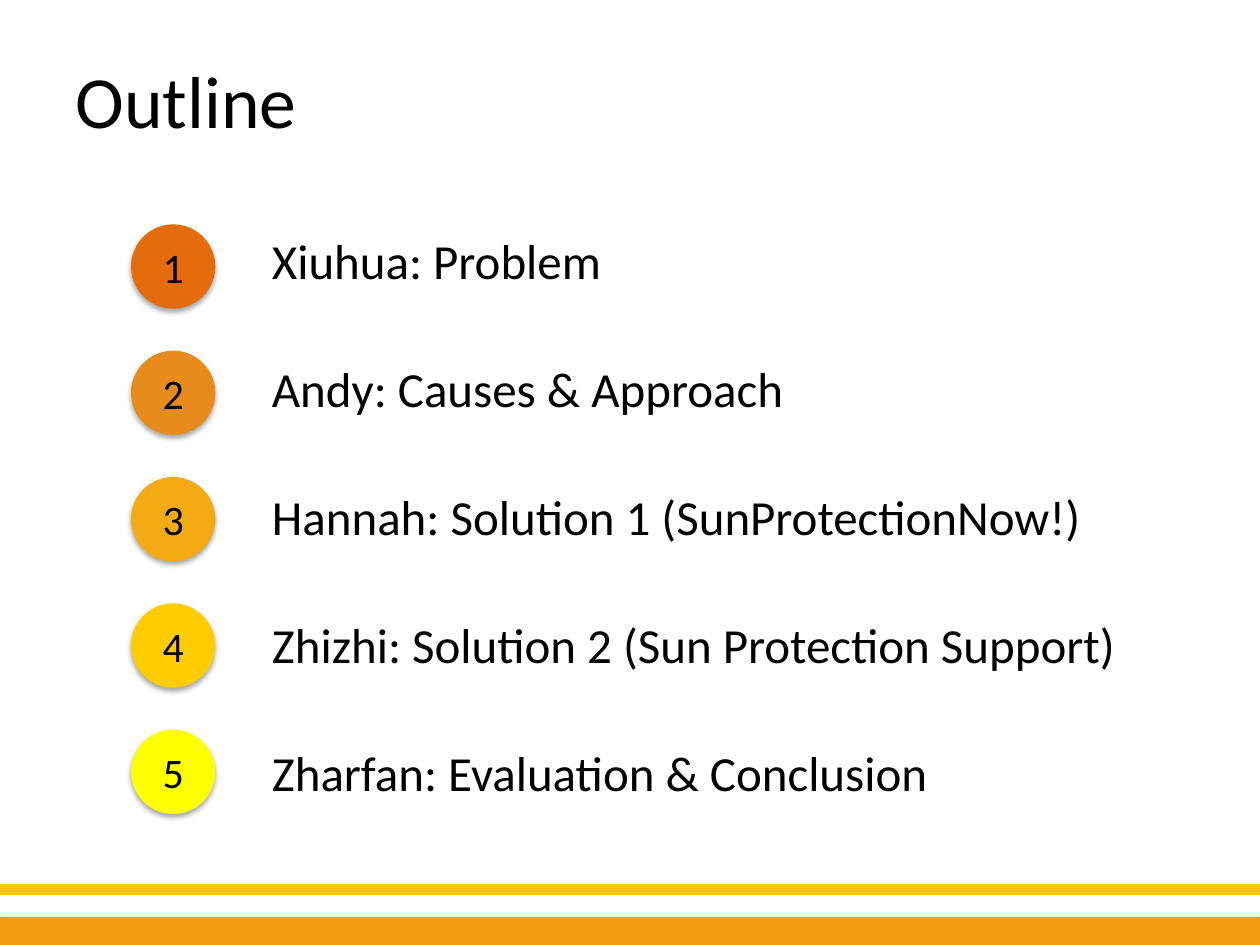
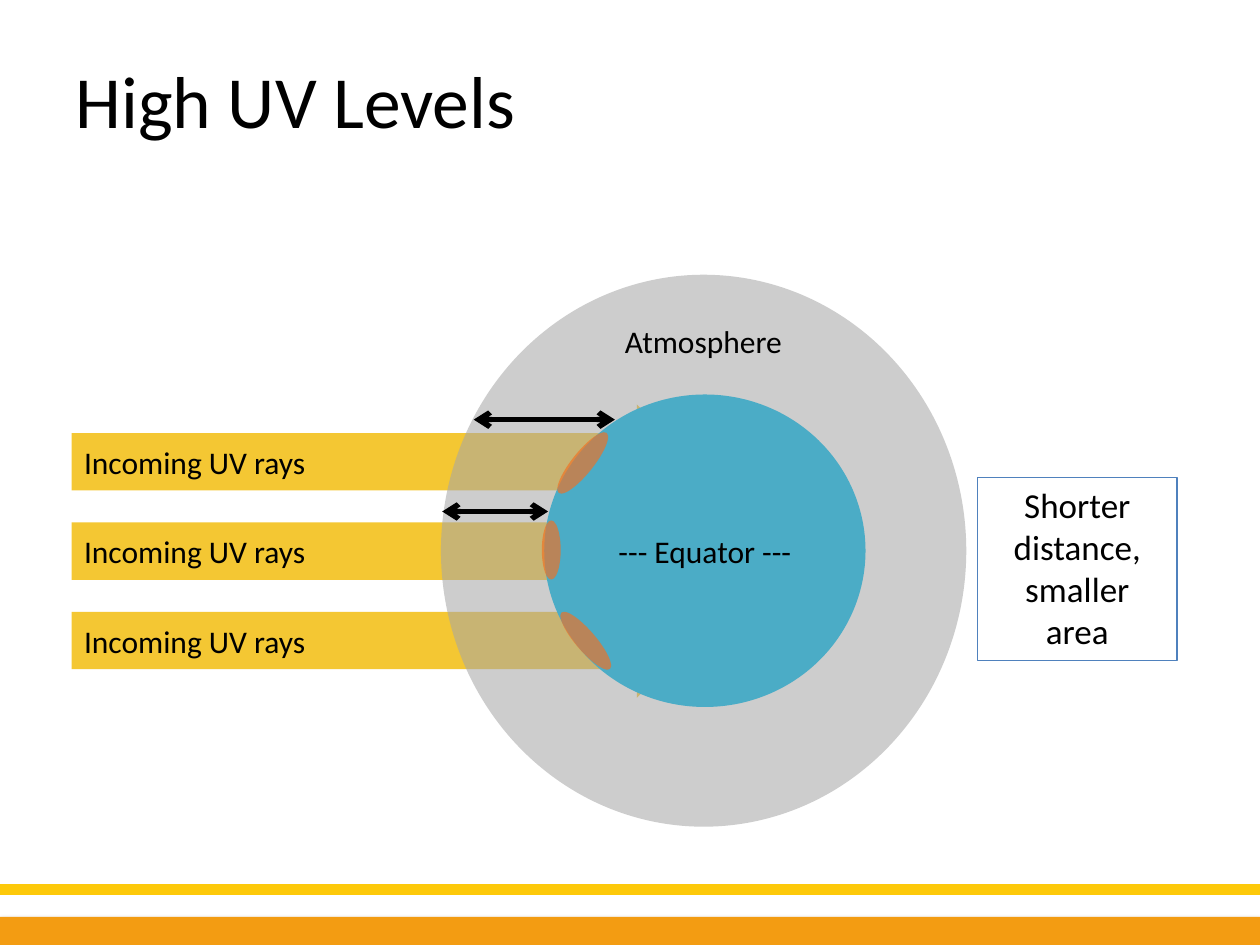
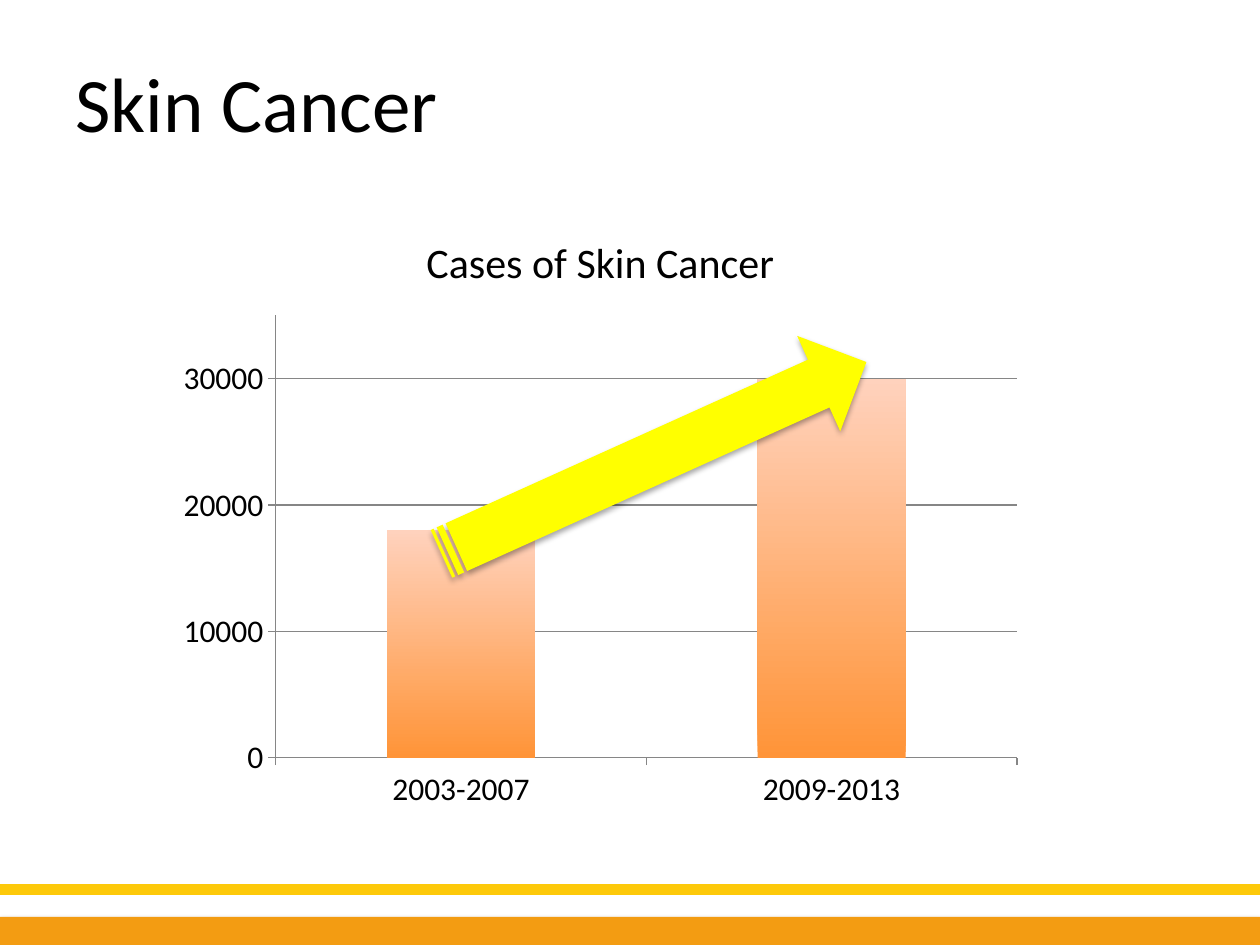
"""Build three slides on skin cancer and UV: outline, diagram and column chart."""
from lxml import etree
from pptx import Presentation
from pptx.chart import data
from pptx.dml.color import RGBColor
from pptx.enum import chart as charts, shapes, text
from pptx.oxml import ns
from pptx.util import Pt

COLOURS = {
    "ink": "000000", "stripe": "FDC90A", "band": "F39C12",
    "ray": "F4C733", "atmosphere": "A6A6A6", "earth": "4BACC6",
    "exposed": "F27021", "frame": "4F81BD", "trend": "FFFF00",
    "grid": "868686", "bar_foot": "FF9438", "bar_top": "FFD2BD",
}
FONT = "Calibri"
KIND = shapes.MSO_SHAPE
LEFT, CENTER = text.PP_ALIGN.LEFT, text.PP_ALIGN.CENTER
TOP, MIDDLE = text.MSO_ANCHOR.TOP, text.MSO_ANCHOR.MIDDLE

OUTLINE = [
    ("Xiuhua: Problem", "E46C0A", 389.5),
    ("Andy: Causes & Approach", "E78B1D", 389.5),
    ("Hannah: Solution 1 (SunProtectionNow!)", "F4AA12", 525),
    ("Zhizhi: Solution 2 (Sun Protection Support)", "FFCC00", 538.5),
    ("Zharfan: Evaluation & Conclusion", "FFFF00", 482.5),
]
RAY_LABEL, RAY_COUNT = "Incoming UV rays", 3
PATHS = [(270.7, 351.4, 239.8), (252.7, 313.2, 292.3)]
EXPOSED_AREAS = [
    ((309.6, 297.4, 10.8, 33.8), 0),
    ((326.9, 242.6, 12.2, 43.9), 38.7),
    ((329, 344.9, 11.5, 42.5), 319.4),
]
CASES = {"2003-2007": 18000, "2009-2013": 30000}


def rgb(name):
    return RGBColor.from_string(COLOURS.get(name, name))


def points(box):
    return [Pt(length) for length in box]


def child(parent, tag, **attributes):
    return etree.SubElement(parent, ns.qn(tag), attributes)


def style(font, size, colour="ink"):
    font.name, font.size, font.bold = FONT, Pt(size), False
    font.color.rgb = rgb(colour)


def write(frame, words, size, align=LEFT, anchor=TOP):
    frame.word_wrap = True
    frame.auto_size = text.MSO_AUTO_SIZE.NONE
    frame.vertical_anchor = anchor
    paragraph = frame.paragraphs[0]
    paragraph.alignment = align
    run = paragraph.add_run()
    run.text = words
    style(run.font, size)


def add_label(slide, box, words, size, align=LEFT):
    label = slide.shapes.add_textbox(*points(box))
    write(label.text_frame, words, size, align)
    return label


def add_figure(slide, kind, box, fill, alpha=100, shadow=False, rotation=0):
    figure = slide.shapes.add_shape(kind, *points(box))
    figure.rotation = rotation
    figure.fill.solid()
    figure.fill.fore_color.rgb = rgb(fill)
    figure.line.fill.background()
    figure.shadow.inherit = False
    properties = figure.element.spPr
    if alpha < 100:
        colour = properties.find(".//" + ns.qn("a:srgbClr"))
        child(colour, "a:alpha", val=str(alpha * 1000))
    if shadow:
        outer = child(properties.find(ns.qn("a:effectLst")), "a:outerShdw",
                      blurRad=str(Pt(3.1)), dist=str(Pt(1.8)),
                      dir="5400000", rotWithShape="0")
        colour = child(outer, "a:srgbClr", val=COLOURS["ink"])
        child(colour, "a:alpha", val="35000")
    return figure


def add_line(slide, start, end, y, colour, width, arrows=False):
    line = slide.shapes.add_connector(
        shapes.MSO_CONNECTOR.STRAIGHT, *points((start, y, end, y)))
    line.line.color.rgb = rgb(colour)
    line.line.width = Pt(width)
    if arrows:
        outline = line.element.spPr.find(ns.qn("a:ln"))
        for end_tag in ("a:headEnd", "a:tailEnd"):
            child(outline, end_tag, type="arrow")
    child(line.element.spPr, "a:effectLst")


def add_slide(deck, heading, size=42):
    slide = deck.slides.add_slide(deck.slide_layouts[5])
    add_line(slide, 0, 720, 508.3, "stripe", 6)
    add_figure(slide, KIND.RECTANGLE, (0, 524, 720, 16), "band", shadow=True)
    title = slide.shapes.title
    title.left, title.top, title.width, title.height = points((36, 28, 572, 60))
    write(title.text_frame, heading, size)
    return slide


def build_outline(deck):
    slide = add_slide(deck, "Outline")
    for index, (topic, colour, width) in enumerate(OUTLINE):
        badge = add_figure(slide, KIND.OVAL, (74.9, 128.2 + 72.2 * index, 48.2, 48.2),
                           colour, shadow=True)
        write(badge.text_frame, str(index + 1), 24, CENTER, MIDDLE)
        add_label(slide, (148.3, 128.2 + 73.1 * index, width, 41), topic, 28)


def build_uv_levels(deck):
    slide = add_slide(deck, "High UV Levels")
    for index in range(RAY_COUNT):
        ray = add_figure(slide, KIND.RIGHT_ARROW,
                         (41, 231.1 + 51.1 * index, 355.7, 65.5), "ray")
        write(ray.text_frame, RAY_LABEL, 18, anchor=MIDDLE)
    add_figure(slide, KIND.OVAL, (252, 157, 300.2, 315.4), "atmosphere", alpha=56)
    earth = add_figure(slide, KIND.OVAL, (311, 225.4, 183.6, 178.6), "earth")
    write(earth.text_frame, "--- Equator ---", 18, CENTER, MIDDLE)
    for start, end, y in PATHS:
        add_line(slide, start, end, y, "ink", 3, arrows=True)
    for box, rotation in EXPOSED_AREAS:
        add_figure(slide, KIND.OVAL, box, "exposed", alpha=66, rotation=rotation)
    finding = add_label(slide, (558.7, 272.9, 113.8, 104.4),
                        "Shorter distance, smaller area", 20, CENTER)
    finding.line.color.rgb = rgb("frame")
    finding.line.width = Pt(0.75)
    add_label(slide, (350, 180.7, 121, 28.8), "Atmosphere", 18)


def build_skin_cancer(deck):
    slide = add_slide(deck, "Skin Cancer", 44)
    cases = data.CategoryChartData(number_format="General")
    cases.categories = list(CASES)
    cases.add_series("Series 1", list(CASES.values()))
    chart = slide.shapes.add_chart(charts.XL_CHART_TYPE.COLUMN_CLUSTERED,
                                   *points((95, 118.8, 496, 350)), cases).chart
    style(chart.font, 18)
    chart.has_legend = False
    chart.has_title = True
    heading = chart.chart_title.text_frame.paragraphs[0].add_run()
    heading.text = "Cases of Skin Cancer"
    style(heading.font, 24)
    chart.chart_title.include_in_layout = False

    for axis in (chart.category_axis, chart.value_axis):
        axis.major_tick_mark = charts.XL_TICK_MARK.OUTSIDE
        axis.format.line.color.rgb = rgb("grid")
        style(axis.tick_labels.font, 18)
    scale = chart.value_axis
    scale.minimum_scale, scale.maximum_scale, scale.major_unit = 0, 35000, 10000
    scale.has_major_gridlines = True
    scale.major_gridlines.format.line.color.rgb = rgb("grid")

    plot = chart.plots[0]
    plot.gap_width, plot.vary_by_categories = 150, False
    bars = plot.series[0].format.fill
    bars.gradient()
    bars.gradient_angle = 90
    for stop, colour in zip(bars.gradient_stops, ("bar_foot", "bar_top")):
        stop.color.rgb = rgb(colour)
    add_figure(slide, KIND.STRIPED_RIGHT_ARROW, (240.5, 231.8, 266.4, 59.8),
               "trend", shadow=True, rotation=335.7)


def main():
    deck = Presentation()
    deck.slide_width, deck.slide_height = Pt(720), Pt(540)
    build_outline(deck)
    build_uv_levels(deck)
    build_skin_cancer(deck)
    deck.save("out.pptx")


if __name__ == "__main__":
    main()
